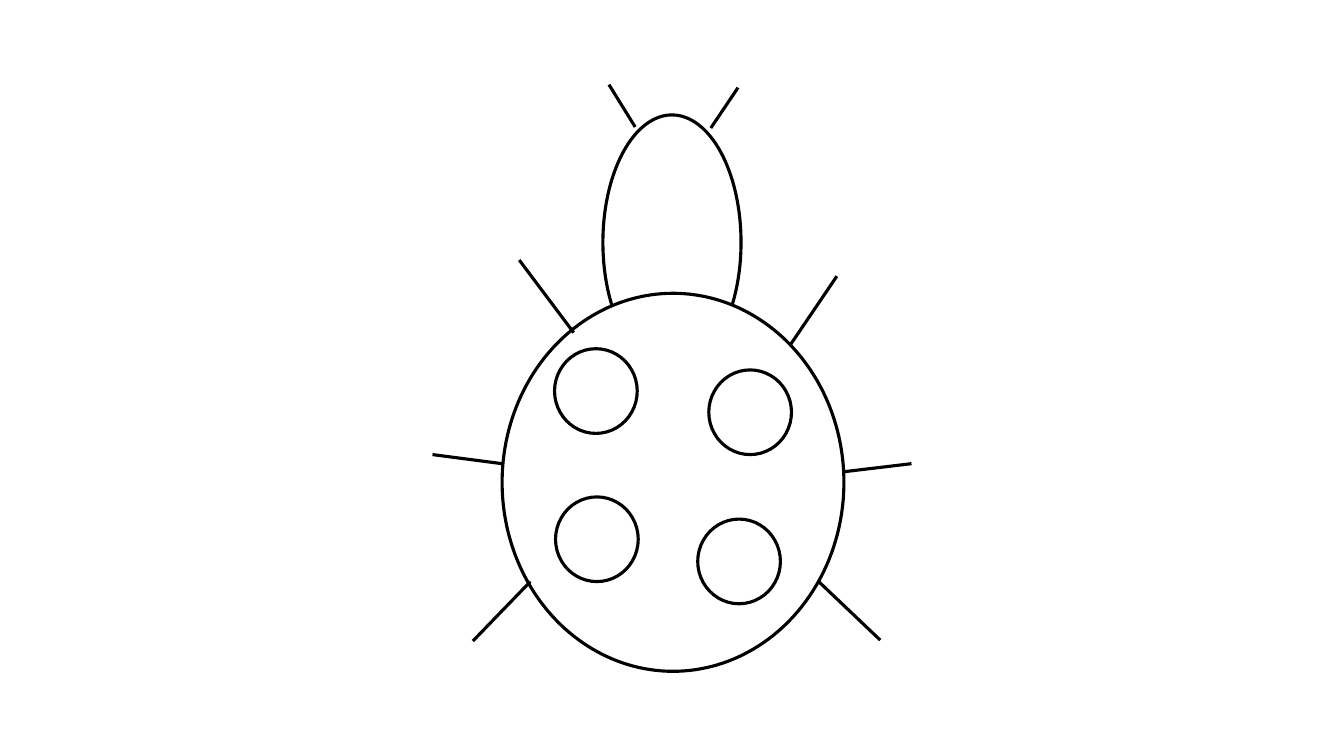
"""Build a slide with a line drawing of a ladybird."""
from pptx import Presentation, util as u
from pptx.dml.color import RGBColor
from pptx.enum import shapes
from pptx.oxml import ns
from lxml import etree

BLACK = RGBColor(0, 0, 0)
WHITE = RGBColor(255, 255, 255)
SLIDE_SIZE = 13.33, 7.5
OUTLINE = 2.25

HEAD = 5.98, 1.14, 1.37, 2.53
BODY = 4.98, 2.91, 3.39, 3.75
SPOT_SIZE = 0.82, 0.84
SPOT_CORNERS = [(5.5, 3.46), (7.03, 3.67), (5.51, 4.93), (6.92, 5.15)]
LEFT_LEGS = [
    ((5.69, 3.3), (5.15, 2.58)),
    ((4.98, 4.6), (4.29, 4.51)),
    ((5.26, 5.77), (4.69, 6.36)),
]
RIGHT_LEGS = [
    ((8.3, 2.74), (7.84, 3.42)),
    ((9.04, 4.6), (8.37, 4.68)),
    ((8.73, 6.35), (8.12, 5.77)),
]
ANTENNAE = [((6.3, 1.26), (6.04, 0.84)), ((7.05, 1.27), (7.32, 0.87))]


def inches(lengths):
    return [u.Inches(length) for length in lengths]


def ink(line):
    line.color.rgb = BLACK
    line.width = u.Pt(OUTLINE)


def add_oval(ladybird, bounds):
    oval = ladybird.shapes.add_shape(shapes.MSO_SHAPE.OVAL, *inches(bounds))
    oval.shadow.inherit = False
    oval.fill.solid()
    oval.fill.fore_color.rgb = WHITE
    ink(oval.line)


def add_limb(ladybird, start, end):
    limb = ladybird.shapes.add_connector(
        shapes.MSO_CONNECTOR.STRAIGHT, *inches(start + end))
    ink(limb.line)
    etree.SubElement(limb._element.spPr, ns.qn("a:effectLst"))


deck = Presentation()
deck.slide_width, deck.slide_height = inches(SLIDE_SIZE)
slide = deck.slides.add_slide(deck.slide_layouts[6])
slide.background.fill.solid()
slide.background.fill.fore_color.rgb = WHITE

ladybird = slide.shapes.add_group_shape()
spots = [corner + SPOT_SIZE for corner in SPOT_CORNERS]
for bounds in [HEAD, BODY] + spots:
    add_oval(ladybird, bounds)
for start, end in LEFT_LEGS + RIGHT_LEGS + ANTENNAE:
    add_limb(ladybird, start, end)

deck.save("out.pptx")
